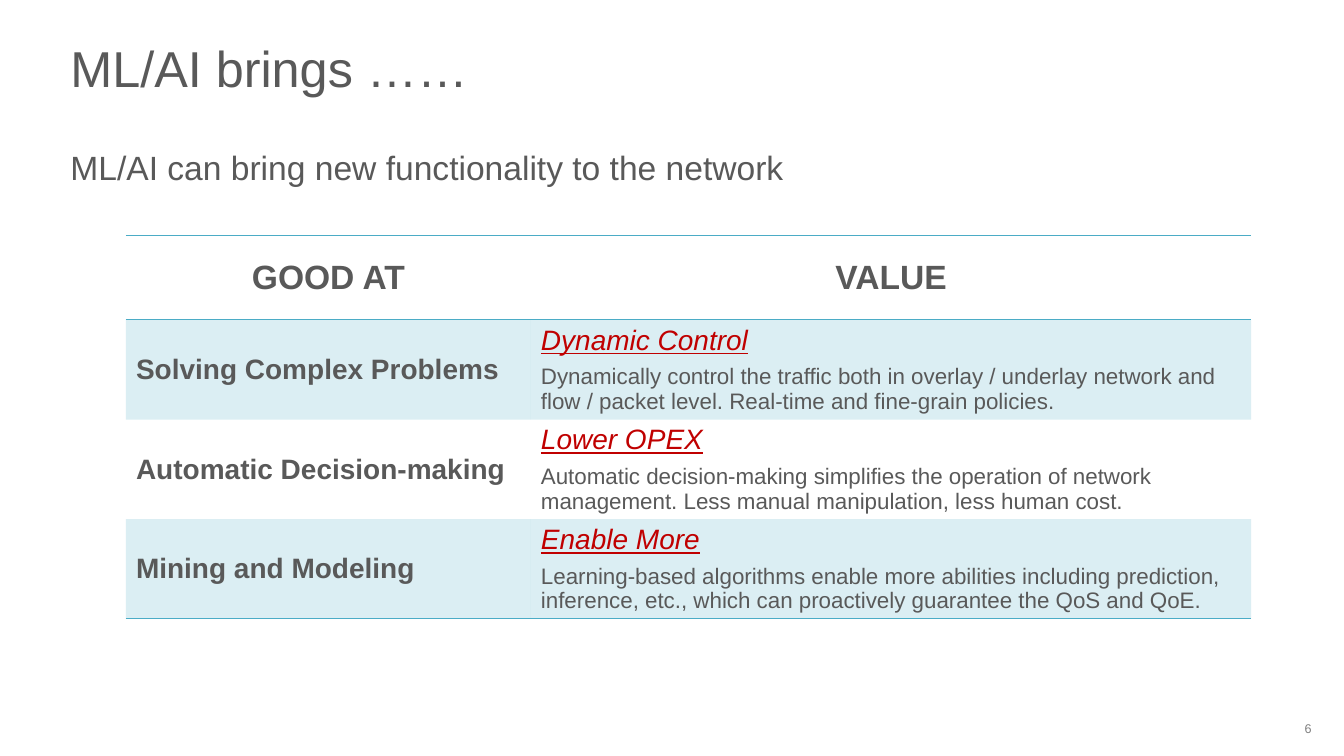
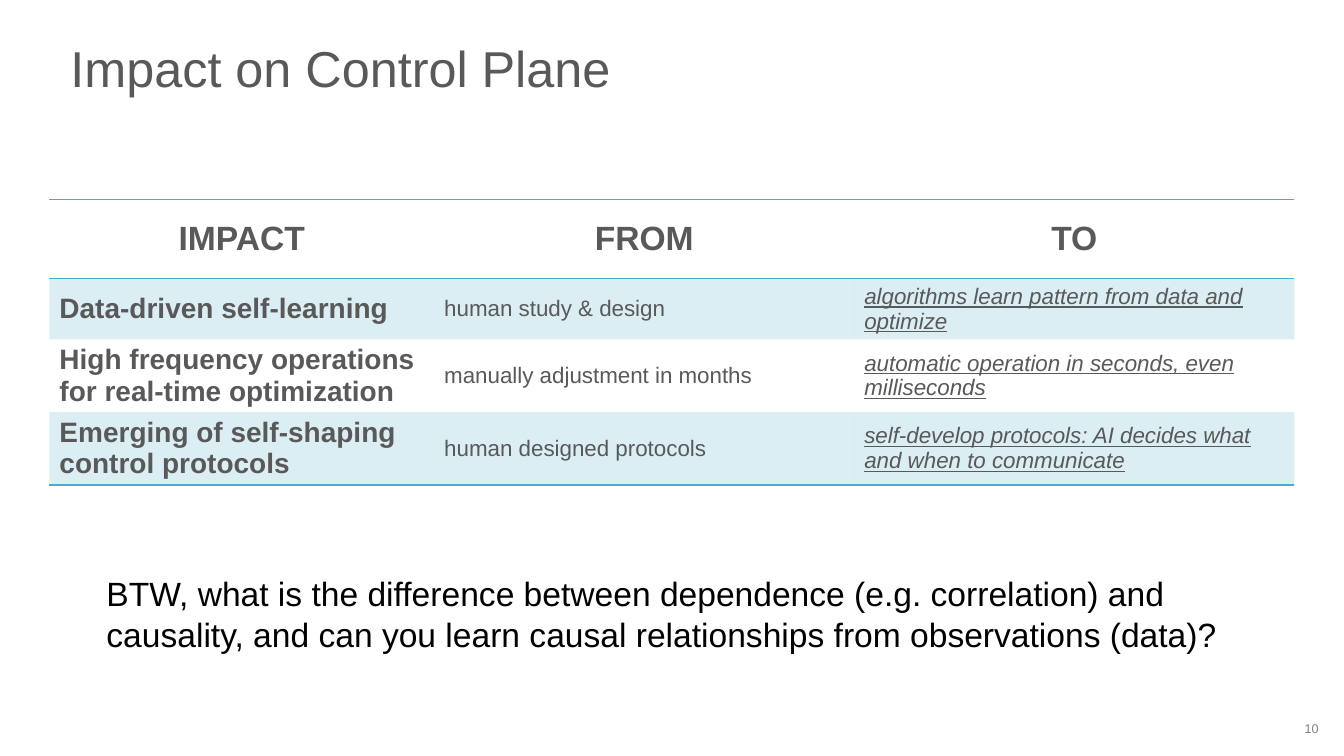
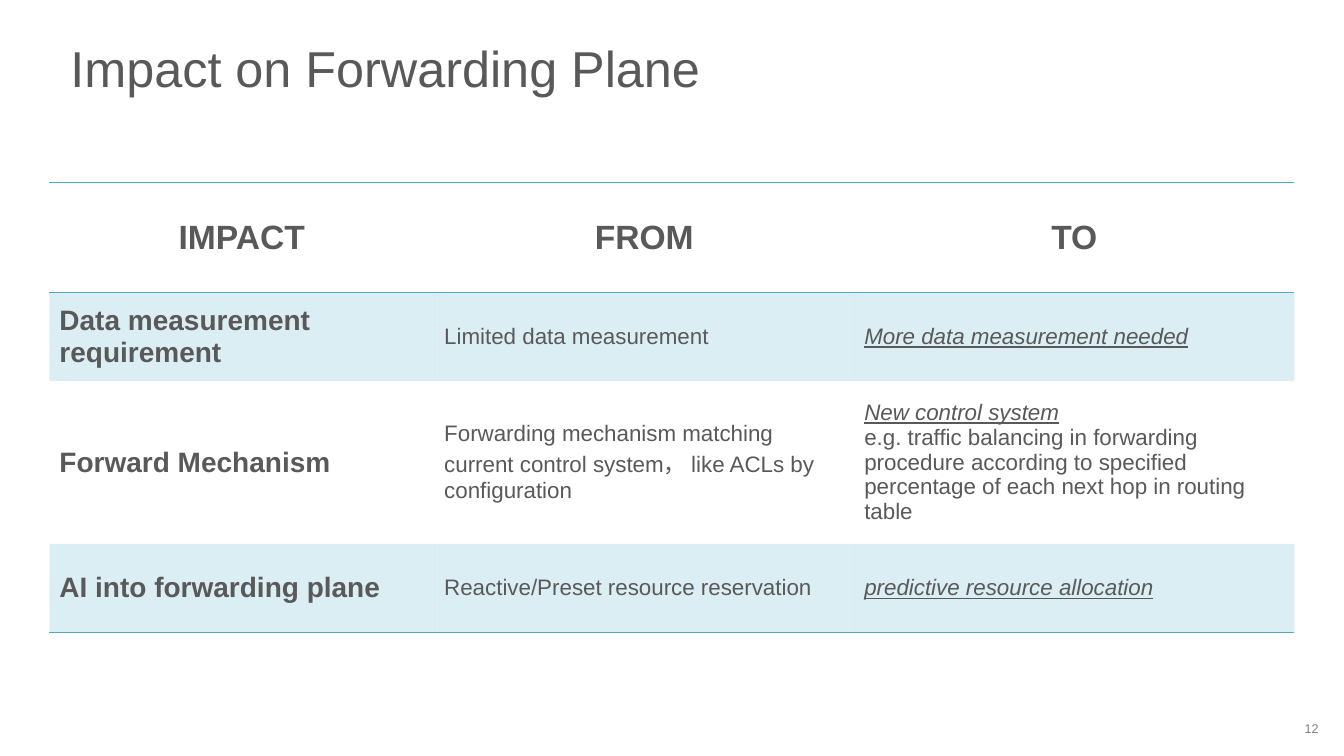
from dataclasses import dataclass

from pptx import Presentation
from pptx.dml.color import RGBColor as Rgb
from pptx.enum.text import MSO_ANCHOR as Anchor, MSO_AUTO_SIZE as Fit, PP_ALIGN as Align
from pptx.oxml import parse_xml
from pptx.oxml.ns import nsdecls
from pptx.util import Pt


@dataclass(frozen=True)
class Theme:
    font: str = "Arial"
    text: str = "595959"
    black: str = "000000"
    faint: str = "808080"
    accent: str = "4BACC6"
    key: str = "C00000"
    alpha: int = 20  # percent opacity of the row bands
    title: int = 36
    lead: int = 24
    label: int = 20
    body: int = 16
    page: int = 9


T = Theme()

# Text styles of the table cells
HEAD = dict(size=T.lead, bold=True, align=Align.CENTER)
LABEL = dict(size=T.label, bold=True)
BODY = dict(size=T.body)
NEW = dict(size=T.body, italic=True, line=True)
VALUE = dict(size=T.label, italic=True, line=True, color=T.key)

PLAIN = "{2D5ABB26-0587-4C30-8999-92F81FD0307C}"  # no style, no grid
IMPACT = ("IMPACT", "FROM", "TO")
WIDE = (275, 300.2, 314.6)


# Text
def write(frame, text, size, color=T.text, bold=False, italic=False,
          line=False, align=Align.LEFT, gap=0):
    """Fill the first paragraph of a frame, or append one below."""
    par = frame.paragraphs[0]
    if par.runs:
        par = frame.add_paragraph()
    par.alignment = align
    par.space_before = Pt(gap)
    run = par.add_run()
    run.text = text
    font = run.font
    font.name, font.size = T.font, Pt(size)
    font.bold, font.italic, font.underline = bold, italic, line
    font.color.rgb = Rgb.from_string(color)


def place(shape, x, y, w, h):
    shape.left, shape.top, shape.width, shape.height = map(Pt, (x, y, w, h))


def inset(frame, side, edge, anchor):
    frame.word_wrap, frame.auto_size = True, Fit.NONE
    frame.vertical_anchor = anchor
    frame.margin_left = frame.margin_right = Pt(side)
    frame.margin_top = frame.margin_bottom = Pt(edge)


def holder(shape, text, top, high, size, anchor):
    place(shape, 41, top, 878, high)
    inset(shape.text_frame, 9.36, 5, anchor)
    write(shape.text_frame, text, size)


def box(slide, x, y, w, h, side=7.2, edge=3.6, anchor=Anchor.TOP):
    frame = slide.shapes.add_textbox(*map(Pt, (x, y, w, h))).text_frame
    inset(frame, side, edge, anchor)
    return frame


# Slide with title and page number
def start(deck, layout, title, page):
    slide = deck.slides.add_slide(deck.slide_layouts[layout])
    holder(slide.shapes.title, title, 13, 70, T.title, Anchor.MIDDLE)
    write(box(slide, 932.4, 514, 26, 13, 0, 0, Anchor.MIDDLE), str(page),
          T.page, T.faint)
    return slide


# Table
def rule(cell, side):
    cell._tc.get_or_add_tcPr().insert(0, parse_xml(
        f'<a:{side} {nsdecls("a")} w="12700"><a:solidFill>'
        f'<a:srgbClr val="{T.accent}"/></a:solidFill></a:{side}>'))


def tint(cell):
    cell.fill.solid()
    cell.fill.fore_color.rgb = Rgb.from_string(T.accent)
    color = cell._tc.get_or_add_tcPr().xpath("a:solidFill/a:srgbClr")[0]
    color.append(parse_xml(
        f'<a:alpha {nsdecls("a")} val="{T.alpha * 1000}"/>'))


def grid(slide, x, y, cols, highs, rows, styles, gap=0):
    """Each column has a list of styles, one for each line of its cells."""
    table = slide.shapes.add_table(
        len(rows), len(cols), Pt(x), Pt(y), Pt(sum(cols)), Pt(sum(highs))).table
    table.first_row = table.horz_banding = False
    table._tbl.xpath("a:tblPr/a:tableStyleId")[0].text = PLAIN
    for col, width in zip(table.columns, cols):
        col.width = Pt(width)
    for r, (row, high) in enumerate(zip(rows, highs)):
        table.rows[r].height = Pt(high)
        for c, text in enumerate(row):
            cell = table.cell(r, c)
            cell.vertical_anchor = Anchor.MIDDLE
            looks = styles[c] if r else [HEAD]
            for i, (part, look) in enumerate(zip(text.split("\n"), looks)):
                write(cell.text_frame, part, gap=gap if i else 0, **look)
            if r % 2:
                tint(cell)
            else:
                cell.fill.background()
            if r in (0, len(rows) - 1):
                rule(cell, "lnB")
            if r == 0:
                rule(cell, "lnT")


# Slides
def gains(deck):
    slide = start(deck, 0, "ML/AI brings ……", 6)
    holder(slide.placeholders[1],
           "ML/AI can bring new functionality to the network",
           100, 396, T.lead, Anchor.TOP)
    grid(slide, 90, 168.5, (289.4, 514.8), (60, 71.2, 71.2, 71.2), [
        ("GOOD AT", "VALUE"),
        ("Solving Complex Problems",
         "Dynamic Control\nDynamically control the traffic both in overlay / "
         "underlay network and flow / packet level. Real-time and fine-grain "
         "policies."),
        ("Automatic Decision-making",
         "Lower OPEX\nAutomatic decision-making simplifies the operation of "
         "network management. Less manual manipulation, less human cost."),
        ("Mining and Modeling",
         "Enable More\nLearning-based algorithms enable more abilities "
         "including prediction, inference, etc., which can proactively "
         "guarantee the QoS and QoE."),
    ], ([LABEL], [VALUE, BODY]), gap=6)


def control(deck):
    slide = start(deck, 5, "Impact on Control Plane", 10)
    grid(slide, 35.3, 142.6, WIDE, (56.6, 43.2, 52, 52), [
        IMPACT,
        ("Data-driven self-learning", "human study & design",
         "algorithms learn pattern from data and optimize"),
        ("High frequency operations for real-time optimization",
         "manually adjustment in months",
         "automatic operation in seconds, even milliseconds"),
        ("Emerging of self-shaping control protocols",
         "human designed protocols",
         "self-develop protocols: AI decides what and when to communicate"),
    ], ([LABEL], [BODY], [NEW]))
    ask = box(slide, 69, 406, 822, 65.5)
    for text in (
            "BTW, what is the difference between dependence (e.g. correlation) and",
            "causality, and can you learn causal relationships from observations (data)?"):
        write(ask, text, T.lead, T.black)


def forward(deck):
    slide = start(deck, 5, "Impact on Forwarding Plane", 12)
    grid(slide, 35.3, 130.3, WIDE, (78.6, 63.2, 116.4, 63.2), [
        IMPACT,
        ("Data measurement requirement", "Limited data measurement",
         "More data measurement needed"),
        ("Forward Mechanism",
         "Forwarding mechanism matching current control system， like ACLs by "
         "configuration",
         "New control system\ne.g. traffic balancing in forwarding procedure "
         "according to specified percentage of each next hop in routing table"),
        ("AI into forwarding plane", "Reactive/Preset resource reservation",
         "predictive resource allocation"),
    ], ([LABEL], [BODY], [NEW, BODY]))


def main():
    deck = Presentation()
    deck.slide_width, deck.slide_height = Pt(960.48), Pt(540)
    for build in (gains, control, forward):
        build(deck)
    deck.save("out.pptx")


if __name__ == "__main__":
    main()
